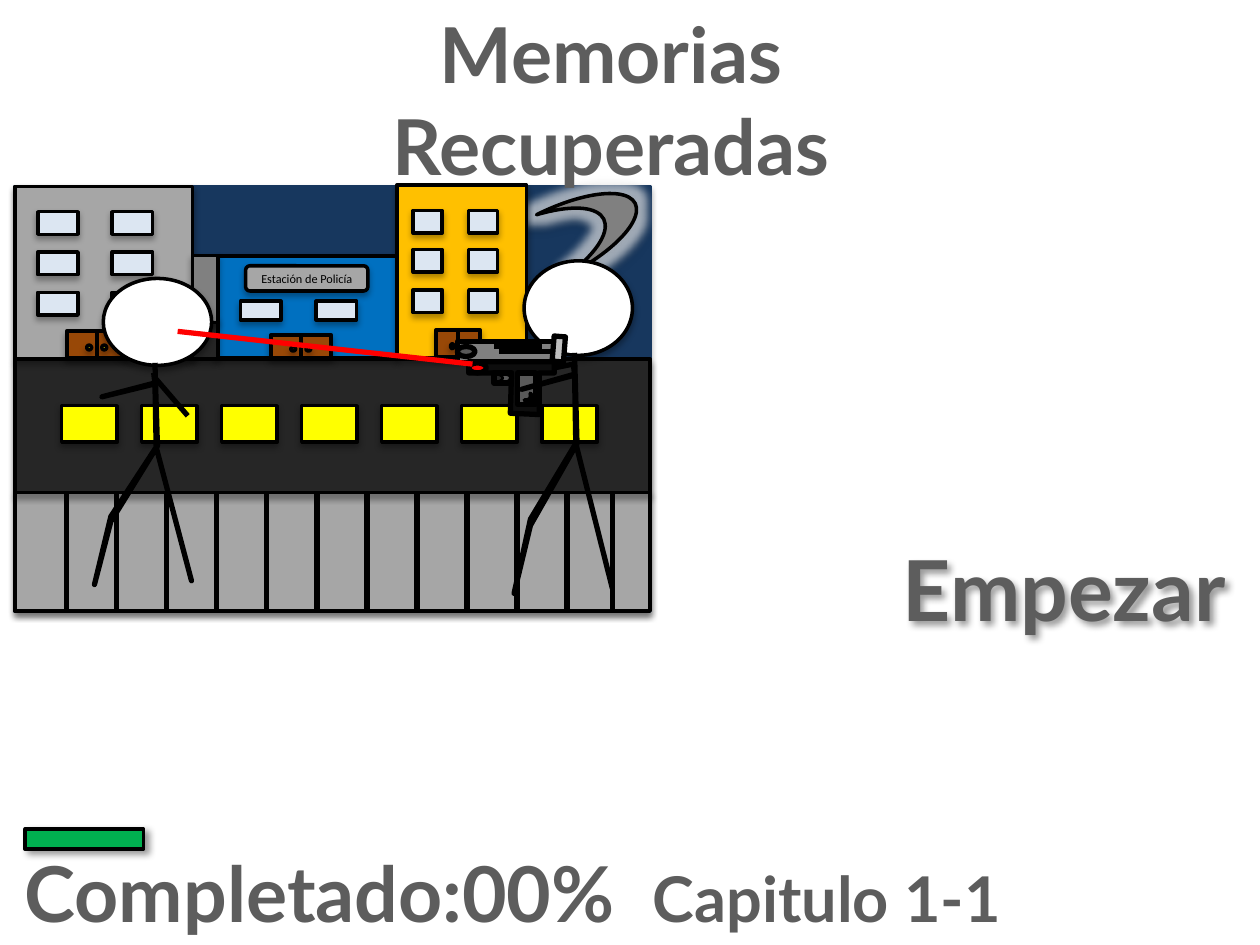
"""Build the "Memorias Recuperadas" chapter slide with its street scene."""
from lxml.etree import SubElement
from pptx import Presentation
from pptx.dml.color import RGBColor
from pptx.enum.shapes import MSO_CONNECTOR, MSO_SHAPE as SHAPE
from pptx.enum.text import MSO_ANCHOR, PP_ALIGN
from pptx.oxml import parse_xml
from pptx.oxml.ns import nsdecls, qn
from pptx.util import Cm, Pt

INCH = 2.54
BLACK = RGBColor(0, 0, 0)
WHITE = RGBColor(255, 255, 255)
NIGHT = RGBColor(0x17, 0x37, 0x5E)
STONE = RGBColor(0xA6, 0xA6, 0xA6)
ASPHALT = RGBColor(0x26, 0x26, 0x26)
GRAY = RGBColor(0x80, 0x80, 0x80)
SILVER = RGBColor(0xBF, 0xBF, 0xBF)
STEEL = RGBColor(0x59, 0x59, 0x59)
COAL = RGBColor(0x0D, 0x0D, 0x0D)
YELLOW = RGBColor(255, 255, 0)
GLASS = RGBColor(0xDC, 0xE6, 0xF2)
WOOD = RGBColor(0x98, 0x48, 0x07)
BLUE = RGBColor(0, 0x70, 0xC0)
AMBER = RGBColor(0xFF, 0xC0, 0)
RED = RGBColor(255, 0, 0)
GREEN = RGBColor(0, 0xB0, 0x50)
TEXT = RGBColor(0x5D, 0x5D, 0x5D)

SHADOW = ('<a:outerShdw blurRad="{}" dist="{}" dir="{}" rotWithShape="0">'
          '<a:srgbClr val="000000"><a:alpha val="{}"/></a:srgbClr></a:outerShdw>')
SOFT = SHADOW.format(Pt(3.5), Pt(2.2), 5400000, 32000)
SLANTED = SHADOW.format(Pt(4), Pt(3), 2700000, 40000)
GLOW = ('<a:glow rad="127000"><a:srgbClr val="FFFFFF">'
        '<a:alpha val="60000"/></a:srgbClr></a:glow>')
EFFECTS = '<a:effectLst %s>{}</a:effectLst>' % nsdecls("a")

presentation = Presentation()
presentation.slide_width = Cm(10 * INCH)
presentation.slide_height = Cm(7.5 * INCH)
slide = presentation.slides.add_slide(presentation.slide_layouts[6])
scene = slide.shapes.add_group_shape().shapes


def draw_shape(shapes, kind, box, fill, weight=2, effect=SOFT, rotation=0, line=BLACK):
    shape = shapes.add_shape(kind, *[Cm(value * INCH) for value in box])
    shape.rotation = rotation
    if fill is None:
        shape.fill.background()
    else:
        shape.fill.solid()
        shape.fill.fore_color.rgb = fill
    shape.line.color.rgb = line
    shape.line.width = Pt(weight)
    shape._element.spPr.append(parse_xml(EFFECTS.format(effect)))
    return shape


def draw_path(points, weight=3, line=BLACK, fill=None):
    points = [(Cm(x * INCH), Cm(y * INCH)) for x, y in points]
    if len(points) == 2:
        shape = scene.add_connector(MSO_CONNECTOR.STRAIGHT, *points[0], *points[1])
    else:
        builder = scene.build_freeform(*points[0], scale=1.0)
        builder.add_line_segments(points[1:], close=fill is not None)
        shape = builder.convert_to_shape()
        if fill is None:
            shape.fill.background()
        else:
            shape.fill.solid()
            shape.fill.fore_color.rgb = fill
    shape.line.color.rgb = line
    shape.line.width = Pt(weight)
    SubElement(shape._element.spPr, qn("a:effectLst"))


draw_shape(scene, SHAPE.RECTANGLE, (0.12, 1.48, 5.04, 3.37), NIGHT, line=NIGHT)
draw_shape(scene, SHAPE.RECTANGLE, (0.12, 3.91, 5.04, 0.94), STONE)
for x in [0.53 + 0.397 * i for i in range(11)] + [4.86]:
    draw_path([(x, 3.91), (x, 4.85)])

draw_shape(scene, SHAPE.RECTANGLE, (0.12, 2.85, 5.04, 1.06), ASPHALT)
for i in range(7):
    draw_shape(scene, SHAPE.RECTANGLE, (0.49 + 0.635 * i, 3.22, 0.44, 0.29), YELLOW)

moon = draw_shape(scene, SHAPE.MOON, (4.34, 1.51, 0.74, 0.54), GRAY,
                  effect=GLOW + SOFT, rotation=153.4)
moon.adjustments[0] = 0.377

buildings = [
    ((0.12, 1.48, 1.41, 1.37), STONE, (0.3, 0.89), (1.68, 2, 2.32), (0.32, 0.18),
     (0.53, 2.63, 0.48, 0.21)),
    ((1.72, 2.03, 1.43, 0.81), BLUE, (1.91, 2.51), (2.39,), (0.32, 0.15),
     (2.15, 2.66, 0.48, 0.18)),
    ((3.15, 1.47, 1.03, 1.37), AMBER, (3.28, 3.72), (1.67, 1.98, 2.3), (0.23, 0.18),
     (3.46, 2.62, 0.35, 0.21)),
]
for wall, colour, columns, rows, window, door in buildings:
    draw_shape(scene, SHAPE.RECTANGLE, wall, colour)
    for y in rows:
        for x in columns:
            draw_shape(scene, SHAPE.RECTANGLE, (x, y, *window), GLASS)
    draw_shape(scene, SHAPE.RECTANGLE, door, WOOD, 2.25)
    left, top, width, height = door
    middle = left + width / 2
    draw_path([(middle, top), (middle, top + height)], 2.25)
    for share in (0.33, 0.58):
        knob = (left + share * width, top + 0.52 * height, 0.08 * width, 0.18 * height)
        draw_shape(scene, SHAPE.OVAL, knob, YELLOW)

sign = draw_shape(scene, SHAPE.ROUNDED_RECTANGLE, (1.95, 2.11, 0.97, 0.2), STONE)
sign_frame = sign.text_frame
sign_frame.text = "Estación de Policía"
sign_frame.word_wrap = False
sign_frame.vertical_anchor = MSO_ANCHOR.MIDDLE
sign_frame.paragraphs[0].alignment = PP_ALIGN.CENTER
sign_font = sign_frame.paragraphs[0].runs[0].font
sign_font.name = "Calibri"
sign_font.size = Pt(7)
sign_font.color.rgb = BLACK

draw_shape(scene, SHAPE.RECTANGLE, (1.53, 2.53, 0.2, 0.32), ASPHALT)
draw_shape(scene, SHAPE.RECTANGLE, (1.53, 2.03, 0.2, 0.53), GRAY)

draw_shape(scene, SHAPE.OVAL, (4.16, 2.07, 0.86, 0.75), WHITE)
draw_path([(4.55, 2.89), (3.99, 3)])
draw_shape(scene, SHAPE.MOON, (3.92, 2.96, 0.14, 0.08), STEEL, 1.5, "", 180)
draw_shape(scene, SHAPE.RECTANGLE, (3.63, 2.71, 0.81, 0.17), GRAY, 3, "")
draw_shape(scene, SHAPE.RECTANGLE, (4.39, 2.67, 0.09, 0.2), SILVER, 3, "", 4.6)
draw_path([(4.05, 3.28), (4.28, 3.29), (4.28, 2.96), (4.4, 2.96), (4.4, 2.87),
           (3.72, 2.87), (3.72, 2.96), (4.06, 2.96)], fill=COAL)
draw_shape(scene, SHAPE.OVAL, (3.63, 2.75, 0.14, 0.08), STEEL, 3, "")
draw_shape(scene, SHAPE.OVAL, (3.72, 2.88, 0.14, 0.08), RED, 3, "")
draw_path([(3.92, 2.75), (4.3, 2.75)])
draw_path([(3.96, 2.79), (4.4, 2.79)])
draw_shape(scene, SHAPE.RECTANGLE, (3.92, 2.96, 0.14, 0.08), None, 3, "")
draw_shape(scene, SHAPE.RECTANGLE, (4.11, 2.96, 0.14, 0.25), STEEL, 3, "")
draw_shape(scene, SHAPE.MOON, (4.18, 3.13, 0.05, 0.07), BLUE, 2.25, "", 220.7)
draw_path([(4.56, 2.8), (4.58, 3.52), (4.21, 4.17), (4.08, 4.71), (4.21, 4.12),
           (4.57, 3.52), (4.86, 4.67), (4.57, 3.52), (4.56, 2.97), (4.14, 3.09),
           (4.55, 2.98), (4.56, 2.97), (4.55, 2.89)])

draw_shape(scene, SHAPE.OVAL, (0.82, 2.21, 0.86, 0.69), WHITE)
draw_path([(1.23, 2.88), (1.25, 3.54), (0.88, 4.14), (0.75, 4.64), (0.88, 4.1),
           (1.24, 3.55), (1.52, 4.61), (1.24, 3.55), (1.23, 3.04), (0.81, 3.15),
           (1.22, 3.05), (1.23, 3.04), (1.22, 2.96)])
draw_path([(1.24, 3.01), (1.49, 3.3)])
draw_path([(3.75, 2.89), (1.41, 2.63)], line=RED)

draw_shape(slide.shapes, SHAPE.RECTANGLE, (0.2, 6.58, 0.94, 0.16), GREEN, effect=SLANTED)

captions = [
    ((1.75, 0, 6.2, 0.84), [("Memorias Recuperadas", 44)], True, ""),
    ((0.07, 6.66, 8, 0.84), [("Completado:00%  ", 44), ("Capitulo 1-1", 36)], False, ""),
    ((7.05, 4.22, 2.79, 0.91), [("Empezar", 48)], False, SLANTED),
]
for box, pieces, wraps, effect in captions:
    caption = slide.shapes.add_textbox(*[Cm(value * INCH) for value in box])
    caption._element.spPr.append(parse_xml(EFFECTS.format(effect)))
    caption.text_frame.word_wrap = wraps
    paragraph = caption.text_frame.paragraphs[0]
    paragraph.alignment = PP_ALIGN.CENTER
    for text, size in pieces:
        run = paragraph.add_run()
        run.text = text
        run.font.name = "Lato"
        run.font.size = Pt(size)
        run.font.bold = True
        run.font.color.rgb = TEXT

presentation.save("out.pptx")
